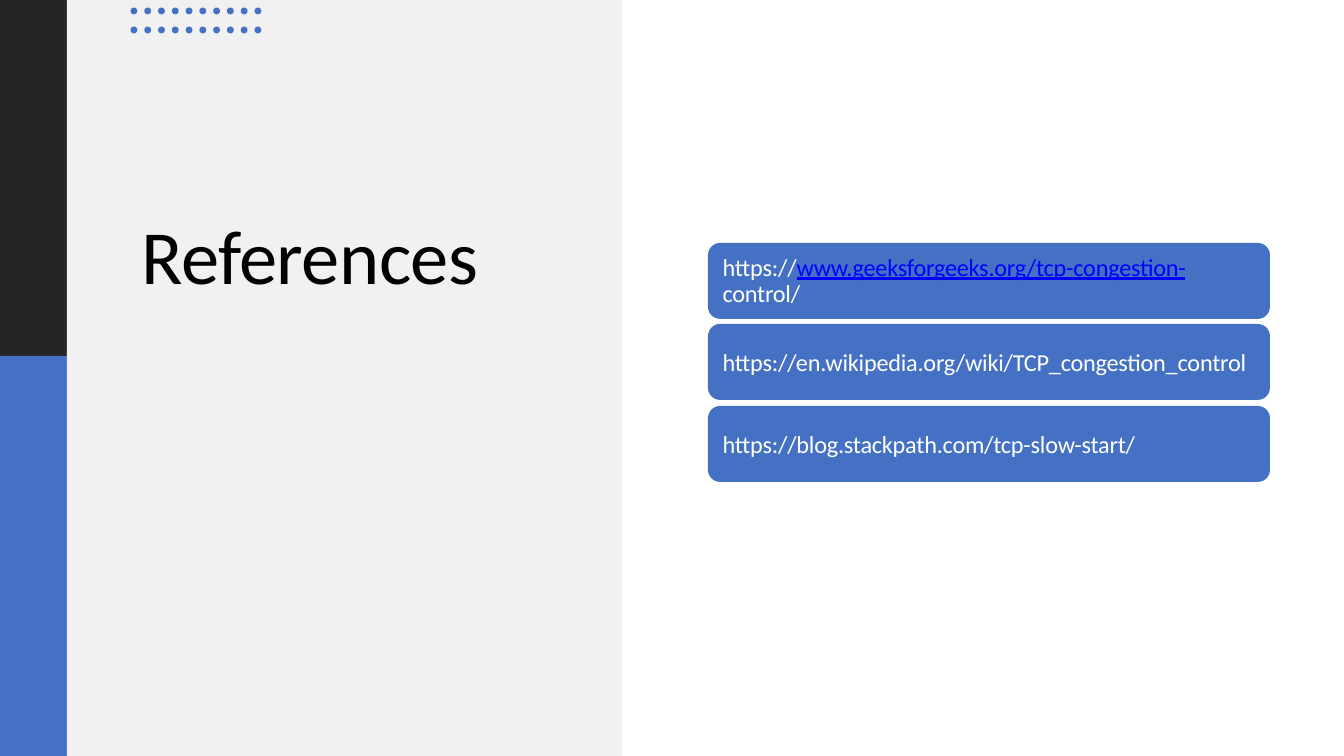
"""Build the References slide: side panels, dot grid, title and three source cards."""
import math

import pptx
import pptx.dml.color
import pptx.enum.shapes
import pptx.enum.text
import pptx.util

PX = 914400 / 134.4
THEME = {
    "dark": "252525", "blue": "4471C4", "panel": "F1F1F1",
    "title": "000000", "text": "FFFFFF", "link": "0000FF",
    "font": "Calibri", "title_size": 41, "card_size": 13, "card_line": 14.3,
}
SHAPE = pptx.enum.shapes.MSO_SHAPE
ANCHOR = pptx.enum.text.MSO_ANCHOR


def px(*lengths):
    return [pptx.util.Emu(round(n * PX)) for n in lengths]


def paint(sp, color):
    sp.shadow.inherit = False
    sp.fill.solid()
    sp.fill.fore_color.rgb = pptx.dml.color.RGBColor.from_string(THEME[color])
    sp.line.fill.background()


prs = pptx.Presentation()
prs.slide_width, prs.slide_height = px(1344, 756)
s = prs.slides.add_slide(prs.slide_layouts[6])

for box, color in [
    ((0, 0, 67, 356), "dark"),
    ((0, 356, 67, 400), "blue"),
    ((67, 0, 555, 756), "panel"),
]:
    paint(s.shapes.add_shape(SHAPE.RECTANGLE, *px(*box)), color)

fb = None
for col in range(10):
    for y in (30, 11):
        x = 134 + col * 124 / 9
        angles = [math.tau * k / 16 for k in range(16)]
        points = [px(x + 3.4 * math.cos(a), y + 3.4 * math.sin(a)) for a in angles]
        if fb is None:
            fb = s.shapes.build_freeform(*points[0])
        else:
            fb.move_to(*points[0])
        fb.add_line_segments(points[1:], close=True)
paint(fb.convert_to_shape(), "blue")

title = s.shapes.add_textbox(*px(67, 0, 555, 756))
cards = [(title, (75, 325, 0, 0), ANCHOR.TOP, "title_size", -30, [("References", "title")])]

sources = [
    [("https://", "text"), ("www.geeksforgeeks.org/tcp-congestion- ", "link"), ("control/", "text")],
    [("https://en.wikipedia.org/wiki/TCP_congestion_control", "text")],
    [("https://blog.stackpath.com/tcp-slow-start/", "text")],
]
for i, runs in enumerate(sources):
    sp = s.shapes.add_shape(SHAPE.ROUNDED_RECTANGLE, *px(708, 243 + i * 163 // 2, 562, 76))
    sp.adjustments[0] = 0.16
    paint(sp, "blue")
    cards.append((sp, (11, 0, 20, 0), ANCHOR.MIDDLE, "card_size", -10, runs))

for sp, insets, anchor, size, spacing, runs in cards:
    tf = sp.text_frame
    tf.word_wrap = True
    tf.vertical_anchor = anchor
    tf.margin_left, tf.margin_top, tf.margin_right, tf.margin_bottom = px(*insets)
    p = tf.paragraphs[0]
    p.alignment = pptx.enum.text.PP_ALIGN.LEFT
    if len(runs) > 1:
        p.line_spacing = pptx.util.Pt(THEME["card_line"])
    for text, color in runs:
        r = p.add_run()
        r.text = text
        r.font.name = THEME["font"]
        r.font.size = pptx.util.Pt(THEME[size])
        r.font.color.rgb = pptx.dml.color.RGBColor.from_string(THEME[color])
        r.font.underline = color == "link"
        r._r.get_or_add_rPr().set("spc", str(spacing))

prs.save("out.pptx")
